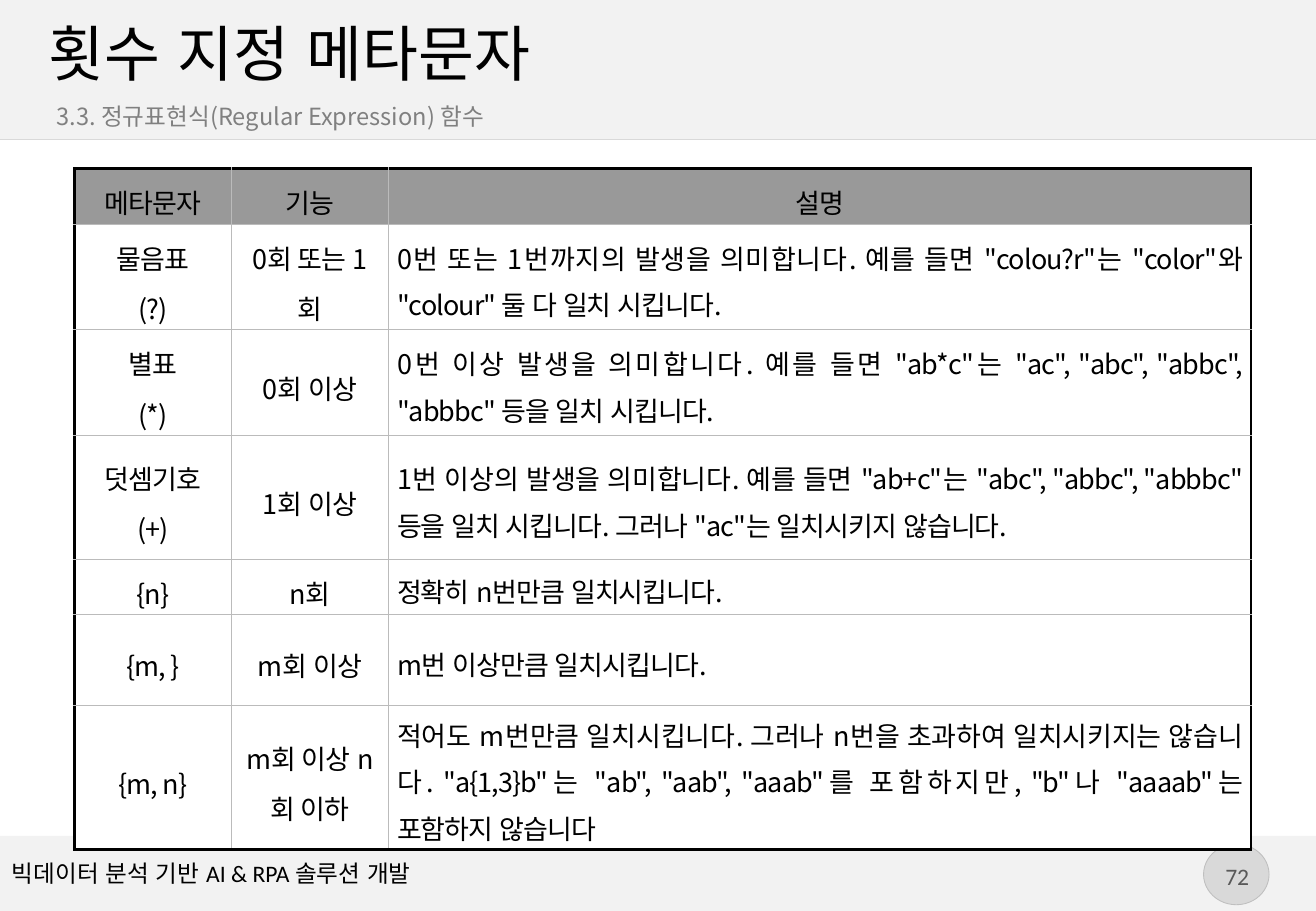
import dataclasses

import lxml.etree
import pptx
import pptx.dml.color
import pptx.enum.lang
import pptx.enum.shapes
import pptx.enum.text
import pptx.oxml
import pptx.oxml.ns
import pptx.util

Cm = pptx.util.Cm
Pt = pptx.util.Pt
Align = pptx.enum.text.PP_ALIGN
Shape = pptx.enum.shapes.MSO_SHAPE
MIDDLE = pptx.enum.text.MSO_ANCHOR.MIDDLE


@dataclasses.dataclass(frozen=True)
class Theme:
    """Colours, fonts and type sizes of the slide."""

    text: str = "000000"
    muted: str = "808080"
    number: str = "595959"
    band: str = "F2F2F2"
    badge: str = "D9D9D9"
    badge_line: str = "BFBFBF"
    header: str = "999999"
    cell: str = "FFFFFF"
    grid: str = "BBBBBB"
    font: str = "Noto Sans CJK KR"
    footer_font: str = "Calibri"
    title_size: int = 36
    small_size: int = 14
    table_size: int = 16
    grid_width: float = 0.28
    frame_width: float = 1.7


THEME = Theme()
WIDTH, HEIGHT = 27.51, 19.05
COLUMN_WIDTHS = [3.28, 3.28, 18.03]
ROW_HEIGHTS = [1.17, 2.2, 2.21, 2.59, 1.15, 1.9, 3.02]
ROWS = [
    ("메타문자", "기능", "설명"),
    ("물음표\n(?)", "0회 또는 1회",
     '0번 또는 1번까지의 발생을 의미합니다. 예를 들면 "colou?r"는 "color"와 "colour" 둘 다 일치 시킵니다.'),
    ("별표\n(*)", "0회 이상",
     '0번 이상 발생을 의미합니다. 예를 들면 "ab*c"는 "ac", "abc", "abbc", "abbbc" 등을 일치 시킵니다.'),
    ("덧셈기호\n(+)", "1회 이상",
     '1번 이상의 발생을 의미합니다. 예를 들면 "ab+c"는 "abc", "abbc", "abbbc" 등을 일치 시킵니다. '
     '그러나 "ac"는 일치시키지 않습니다.'),
    ("{n}", "n회", "정확히 n번만큼 일치시킵니다."),
    ("{m, }", "m회 이상", "m번 이상만큼 일치시킵니다."),
    ("{m, n}", "m회 이상 n회 이하",
     '적어도 m번만큼 일치시킵니다. 그러나 n번을 초과하여 일치시키지는 않습니다. '
     '"a{1,3}b"는 "ab", "aab", "aaab"를 포함하지만, "b"나 "aaaab"는 포함하지 않습니다'),
]


def color(value):
    """Return the colour for a hexadecimal value."""
    return pptx.dml.color.RGBColor.from_string(value)


def write_text(frame, text, size, font=THEME.font, fill=THEME.text, align=Align.LEFT,
               line_spacing=None, tracking=None):
    """Write the lines of text as formatted paragraphs."""
    for index, line in enumerate(text.split("\n")):
        paragraph = frame.paragraphs[0] if index == 0 else frame.add_paragraph()
        paragraph.alignment = align
        if line_spacing:
            paragraph.line_spacing = line_spacing
        run = paragraph.add_run()
        run.text = line
        run.font.size = Pt(size)
        run.font.bold = False
        run.font.name = font
        run.font.color.rgb = color(fill)
        run.font.language_id = pptx.enum.lang.MSO_LANGUAGE_ID.KOREAN
        properties = run.font._element
        latin = properties.find(pptx.oxml.ns.qn("a:latin"))
        east_asian = pptx.oxml.parse_xml(
            f'<a:ea {pptx.oxml.ns.nsdecls("a")} typeface="{THEME.font}"/>')
        latin.addnext(east_asian)
        if tracking is not None:
            properties.set("spc", str(round(tracking * 100)))


class SlideBuilder:
    """Holds the theme and the current slide."""

    def __init__(self, slide, theme):
        """Keep the slide and its theme."""
        self.slide = slide
        self.theme = theme

    def shape(self, kind, left, top, width, height, fill, line=None):
        """Add a filled preset shape."""
        shape = self.slide.shapes.add_shape(kind, Cm(left), Cm(top), Cm(width), Cm(height))
        shape.shadow.inherit = False
        shape.fill.solid()
        shape.fill.fore_color.rgb = color(fill)
        if line:
            shape.line.color.rgb = color(line)
            shape.line.width = Pt(0.5)
        else:
            shape.line.fill.background()
        shape.text_frame.vertical_anchor = MIDDLE
        return shape

    def rule(self, top, line):
        """Add a horizontal line across the slide."""
        connector = self.slide.shapes.add_connector(
            pptx.enum.shapes.MSO_CONNECTOR.STRAIGHT, 0, Cm(top), Cm(WIDTH), Cm(top))
        connector.line.color.rgb = color(line)
        connector.line.width = Pt(0.75)
        lxml.etree.SubElement(connector.element.spPr, pptx.oxml.ns.qn("a:effectLst"))

    def text(self, text, left, top, width, height, wrap=True, **style):
        """Add a text box."""
        box = self.slide.shapes.add_textbox(Cm(left), Cm(top), Cm(width), Cm(height))
        box.text_frame.word_wrap = wrap
        box.text_frame.vertical_anchor = MIDDLE
        write_text(box.text_frame, text, **style)
        return box

    def title(self, text, left, top, width, height):
        """Place and format the title placeholder in front of the header band."""
        title = self.slide.shapes.title
        title.left, title.top, title.width, title.height = map(Cm, (left, top, width, height))
        frame = title.text_frame
        frame.margin_left = frame.margin_top = frame.margin_right = frame.margin_bottom = 0
        frame.auto_size = pptx.enum.text.MSO_AUTO_SIZE.NONE
        frame.vertical_anchor = MIDDLE
        write_text(frame, text, self.theme.title_size)
        title.element.getparent().append(title.element)

    def border(self, cell, side, framed):
        """Draw one side of a cell as frame or as grid."""
        line = self.theme.text if framed else self.theme.grid
        width = Pt(self.theme.frame_width if framed else self.theme.grid_width)
        cell._tc.get_or_add_tcPr().append(pptx.oxml.parse_xml(
            f'<a:ln{side} {pptx.oxml.ns.nsdecls("a")} w="{int(width)}">'
            f'<a:solidFill><a:srgbClr val="{line}"/></a:solidFill></a:ln{side}>'))

    def table(self, rows, left, top, widths, heights):
        """Add a table with a heavy outer frame and a fine grid."""
        table = self.slide.shapes.add_table(
            len(rows), len(widths), Cm(left), Cm(top), Cm(sum(widths)), Cm(sum(heights))).table
        table.first_row = table.horz_banding = False
        for column, width in zip(table.columns, widths):
            column.width = Cm(width)
        last_row, last_column = len(rows) - 1, len(widths) - 1
        for row_index, texts in enumerate(rows):
            table.rows[row_index].height = Cm(heights[row_index])
            for column_index, text in enumerate(texts):
                cell = table.cell(row_index, column_index)
                cell.margin_left = cell.margin_right = Cm(0.18)
                cell.margin_top = cell.margin_bottom = Cm(0.05)
                cell.vertical_anchor = MIDDLE
                is_header = row_index == 0
                framed = {"L": column_index == 0, "R": column_index == last_column,
                          "T": is_header, "B": row_index == last_row}
                for side, is_framed in framed.items():
                    self.border(cell, side, is_framed)
                cell.fill.solid()
                cell.fill.fore_color.rgb = color(self.theme.header if is_header else self.theme.cell)
                is_description = column_index == last_column and not is_header
                write_text(cell.text_frame, text, self.theme.table_size, tracking=-0.5,
                           align=Align.JUSTIFY if is_description else Align.CENTER,
                           line_spacing=1.2 if is_description else 1.3)


def main():
    """Build and save the slide."""
    presentation = pptx.Presentation()
    presentation.slide_width, presentation.slide_height = Cm(WIDTH), Cm(HEIGHT)
    builder = SlideBuilder(presentation.slides.add_slide(presentation.slide_layouts[5]), THEME)
    footer = builder.shape(Shape.RECTANGLE, 0, 17.48, WIDTH, 1.57, THEME.band)
    write_text(footer.text_frame, "빅데이터 분석 기반 AI & RPA 솔루션 개발",
               THEME.small_size, font=THEME.footer_font)
    builder.shape(Shape.OVAL, 25.16, 17.65, 1.37, 1.27, THEME.badge, THEME.badge_line)
    builder.text("72", 25.32, 17.88, 1.09, 0.86, wrap=False, size=THEME.small_size,
                 font=THEME.footer_font, fill=THEME.number, align=Align.CENTER)
    builder.shape(Shape.RECTANGLE, 0, 0, WIDTH, 2.92, THEME.band)
    builder.rule(2.92, THEME.badge)
    builder.title("횟수 지정 메타문자", 1.02, 0.34, 25.53, 1.52)
    subtitle = builder.text("3.3. 정규표현식(Regular Expression) 함수", 0.98, 2.13, 25.58, 0.61,
                            size=THEME.small_size, fill=THEME.muted)
    subtitle.text_frame.margin_left = Cm(0.2)
    builder.table(ROWS, 1.56, 3.52, COLUMN_WIDTHS, ROW_HEIGHTS)
    presentation.save("out.pptx")


if __name__ == "__main__":
    main()
